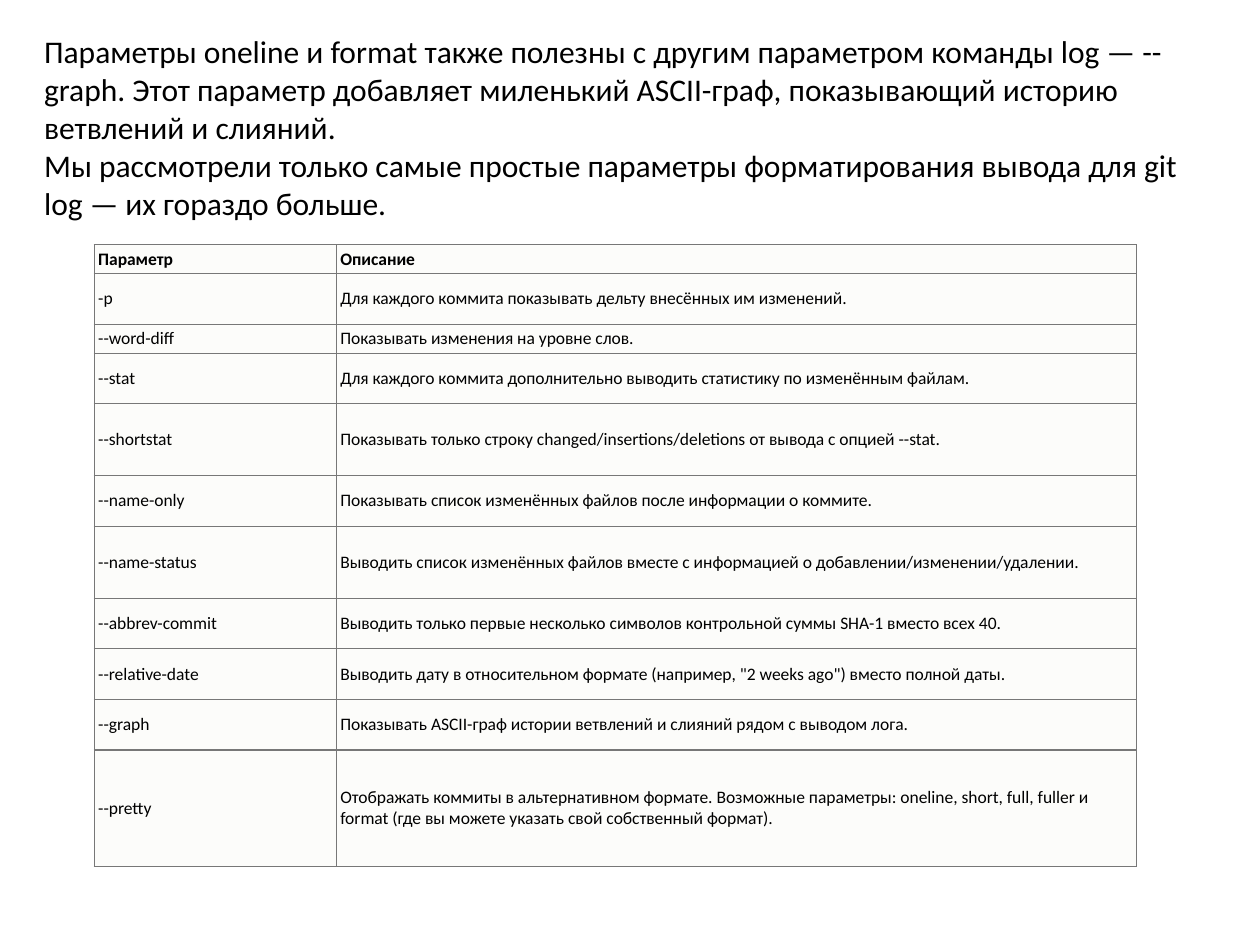
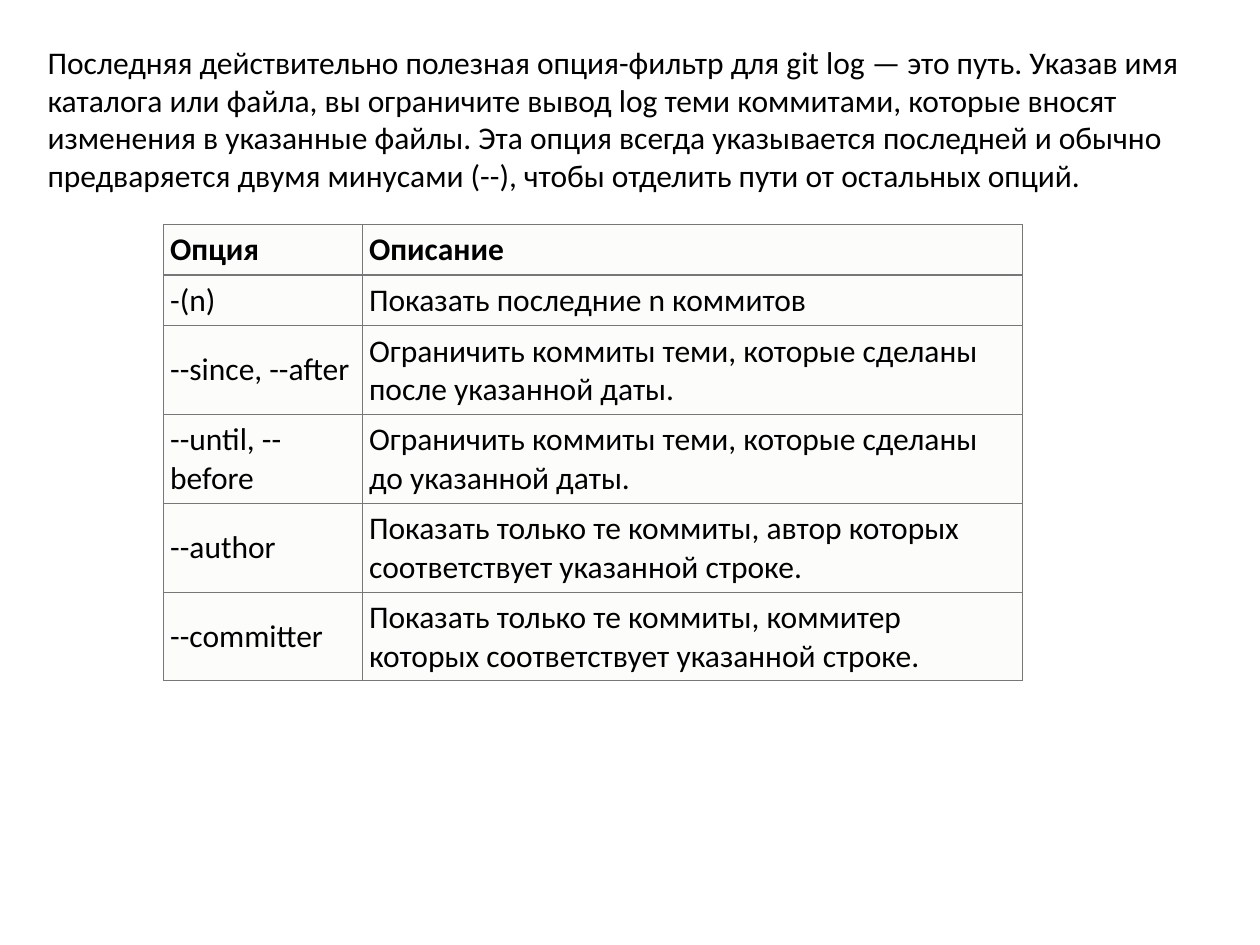
import pptx
import pptx.dml.color
import pptx.enum.text
import pptx.oxml
import pptx.oxml.ns
import pptx.util

Cm = pptx.util.Cm
Pt = pptx.util.Pt
color = pptx.dml.color.RGBColor.from_string

# Theme
THEME = {
    "font": "Calibri",
    "text": "000000",
    "cell": "FCFCFA",
    "border": "777777",
    "border_width": Pt(0.75),
    "intro_size": 18,
}

# Row heights in cm, by the room a row gets
LINE, ROOMY, TALL, LAST = 0.58, 1.02, 1.45, 2.34
SINGLE, DOUBLE = 1.02, 1.79

# Content of the slides
PAGES = [
    {
        "intro_at": (0.64, 0.53, 24.21, 4.88),
        "intro": [
            "Параметры oneline и format также полезны с другим параметром "
            "команды log — --graph. Этот параметр добавляет миленький ASCII-граф, "
            "показывающий историю ветвлений и слияний.",
            "Мы рассмотрели только самые простые параметры форматирования вывода "
            "для git log — их гораздо больше.",
        ],
        "table_at": (1.9, 4.93),
        "columns": (4.88, 16.13),
        "size": 10,
        "inset": 0.08,
        "rows": [
            (LINE, "Параметр", "Описание"),
            (ROOMY, "-p", "Для каждого коммита показывать дельту внесённых им изменений."),
            (LINE, "--word-diff", "Показывать изменения на уровне слов."),
            (ROOMY, "--stat",
             "Для каждого коммита дополнительно выводить статистику по изменённым файлам."),
            (TALL, "--shortstat",
             "Показывать только строку changed/insertions/deletions от вывода с опцией --stat."),
            (ROOMY, "--name-only",
             "Показывать список изменённых файлов после информации о коммите."),
            (TALL, "--name-status",
             "Выводить список изменённых файлов вместе с информацией "
             "о добавлении/изменении/удалении."),
            (ROOMY, "--abbrev-commit",
             "Выводить только первые несколько символов контрольной суммы SHA-1 вместо всех 40."),
            (ROOMY, "--relative-date",
             'Выводить дату в относительном формате (например, "2 weeks ago") вместо полной даты.'),
            (ROOMY, "--graph",
             "Показывать ASCII-граф истории ветвлений и слияний рядом с выводом лога."),
            (LAST, "--pretty",
             "Отображать коммиты в альтернативном формате. Возможные "
             "параметры: oneline, short, full, fuller и format (где вы можете "
             "указать свой собственный формат)."),
        ],
    },
    {
        "intro_at": (0.71, 0.74, 23.8, 3.33),
        "intro": [
            "Последняя действительно полезная опция-фильтр для git log — это путь. "
            "Указав имя каталога или файла, вы ограничите вывод log теми коммитами, "
            "которые вносят изменения в указанные файлы. Эта опция всегда указывается "
            "последней и обычно предваряется двумя минусами (--), чтобы отделить пути "
            "от остальных опций.",
        ],
        "table_at": (3.3, 4.52),
        "columns": (4.01, 13.31),
        "size": 18,
        "inset": 0.13,
        "rows": [
            (SINGLE, "Опция", "Описание"),
            (SINGLE, "-(n)", "Показать последние n коммитов"),
            (DOUBLE, "--since, --after",
             "Ограничить коммиты теми, которые сделаны после указанной даты."),
            (DOUBLE, "--until, --before",
             "Ограничить коммиты теми, которые сделаны до указанной даты."),
            (DOUBLE, "--author",
             "Показать только те коммиты, автор которых соответствует указанной строке."),
            (DOUBLE, "--committer",
             "Показать только те коммиты, коммитер которых соответствует указанной строке."),
        ],
    },
]


def write(para, text, size, bold=False):
    span = para.add_run()
    span.text = text
    look = {"name": THEME["font"], "size": Pt(size), "bold": bold}
    for name, value in look.items():
        setattr(span.font, name, value)
    span.font.color.rgb = color(THEME["text"])


def style_cell(cell, inset):
    look = {side: Cm(inset) for side in
            ("margin_left", "margin_top", "margin_right", "margin_bottom")}
    look["vertical_anchor"] = pptx.enum.text.MSO_ANCHOR.MIDDLE
    for name, value in look.items():
        setattr(cell, name, value)
    # Borders come before the fill in the cell properties
    properties = cell._tc.get_or_add_tcPr()
    for side in ("lnL", "lnR", "lnT", "lnB"):
        properties.append(pptx.oxml.parse_xml(
            f'<a:{side} {pptx.oxml.ns.nsdecls("a")} w="{THEME["border_width"]}">'
            f'<a:solidFill><a:srgbClr val="{THEME["border"]}"/></a:solidFill></a:{side}>'))
    cell.fill.solid()
    cell.fill.fore_color.rgb = color(THEME["cell"])


deck = pptx.Presentation()
deck.slide_width, deck.slide_height = Cm(25.4), Cm(19.05)
blank = deck.slide_layouts[6]

for content in PAGES:
    page = deck.slides.add_slide(blank)

    # Introductory text
    box = page.shapes.add_textbox(*map(Cm, content["intro_at"]))
    frame = box.text_frame
    frame.word_wrap = True
    frame.auto_size = pptx.enum.text.MSO_AUTO_SIZE.SHAPE_TO_FIT_TEXT
    for index, text in enumerate(content["intro"]):
        para = frame.add_paragraph() if index else frame.paragraphs[0]
        write(para, text, THEME["intro_size"])

    # Table of options
    rows, columns = content["rows"], content["columns"]
    height = sum(row[0] for row in rows)
    table = page.shapes.add_table(
        len(rows), len(columns), *map(Cm, content["table_at"]),
        Cm(sum(columns)), Cm(height)).table
    table.first_row = table.horz_banding = False
    for column, width in zip(table.columns, columns):
        column.width = Cm(width)
    for index, (row_height, *texts) in enumerate(rows):
        table.rows[index].height = Cm(row_height)
        for cell, text in zip(table.rows[index].cells, texts):
            style_cell(cell, content["inset"])
            write(cell.text_frame.paragraphs[0], text, content["size"], bold=index == 0)

deck.save("out.pptx")
